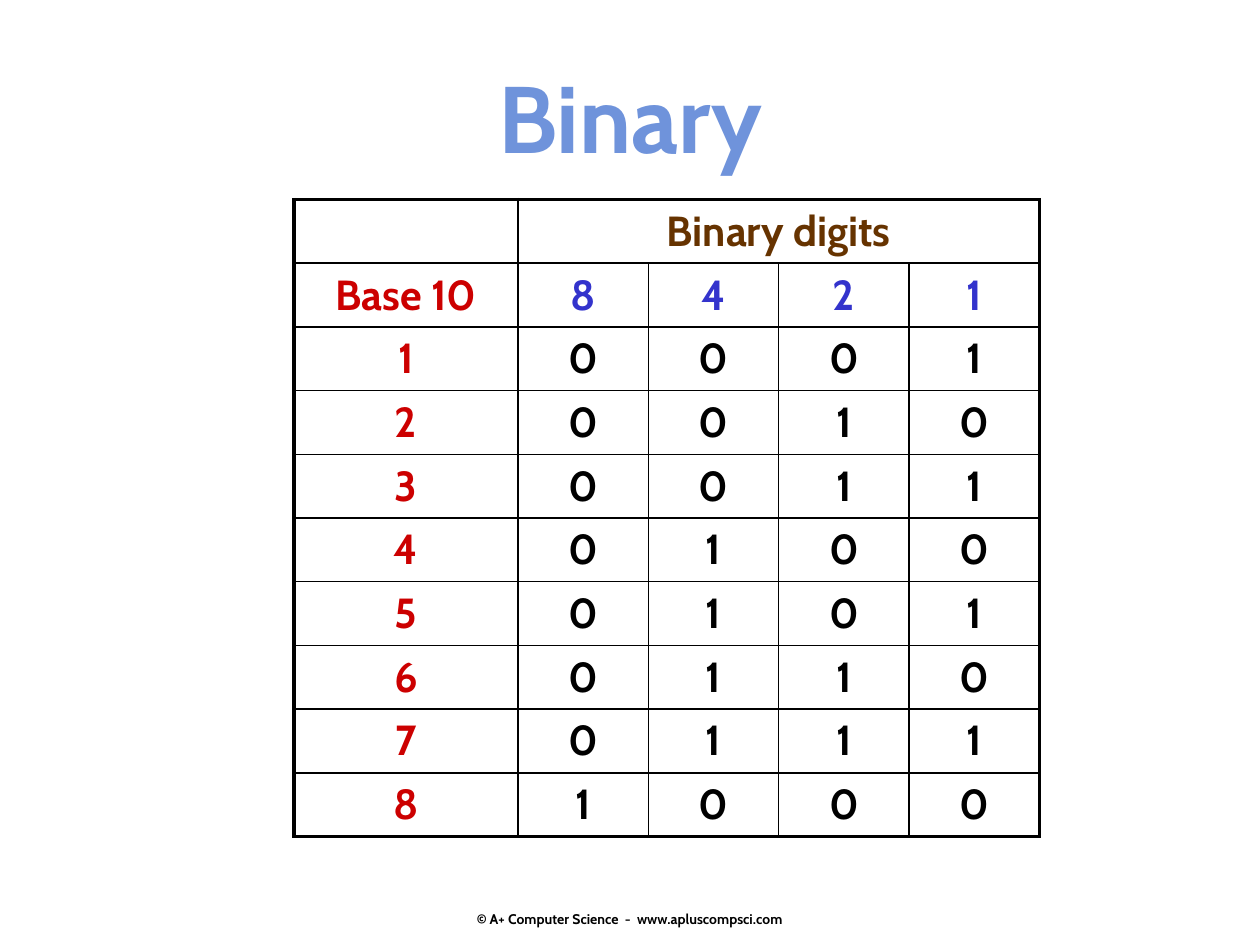
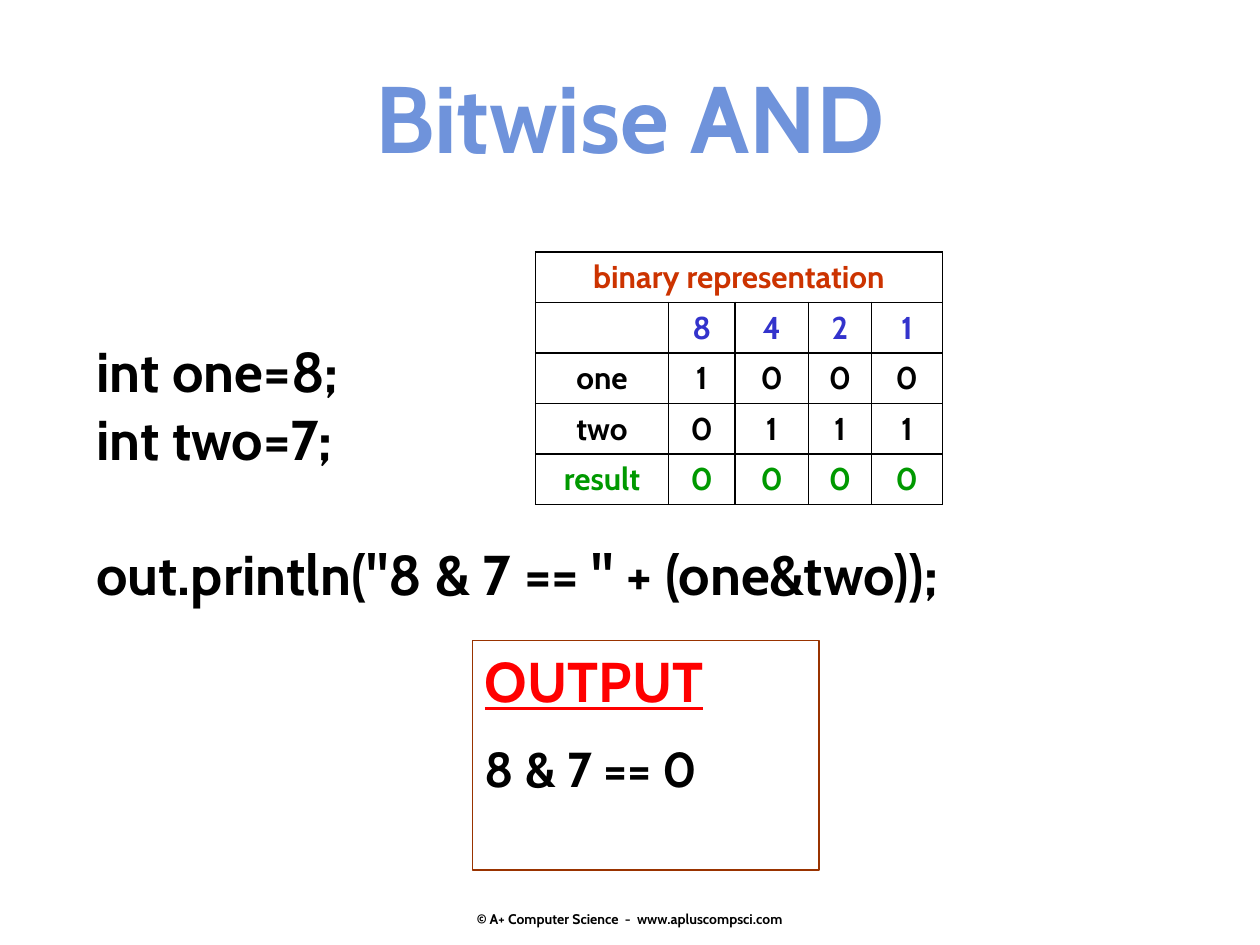
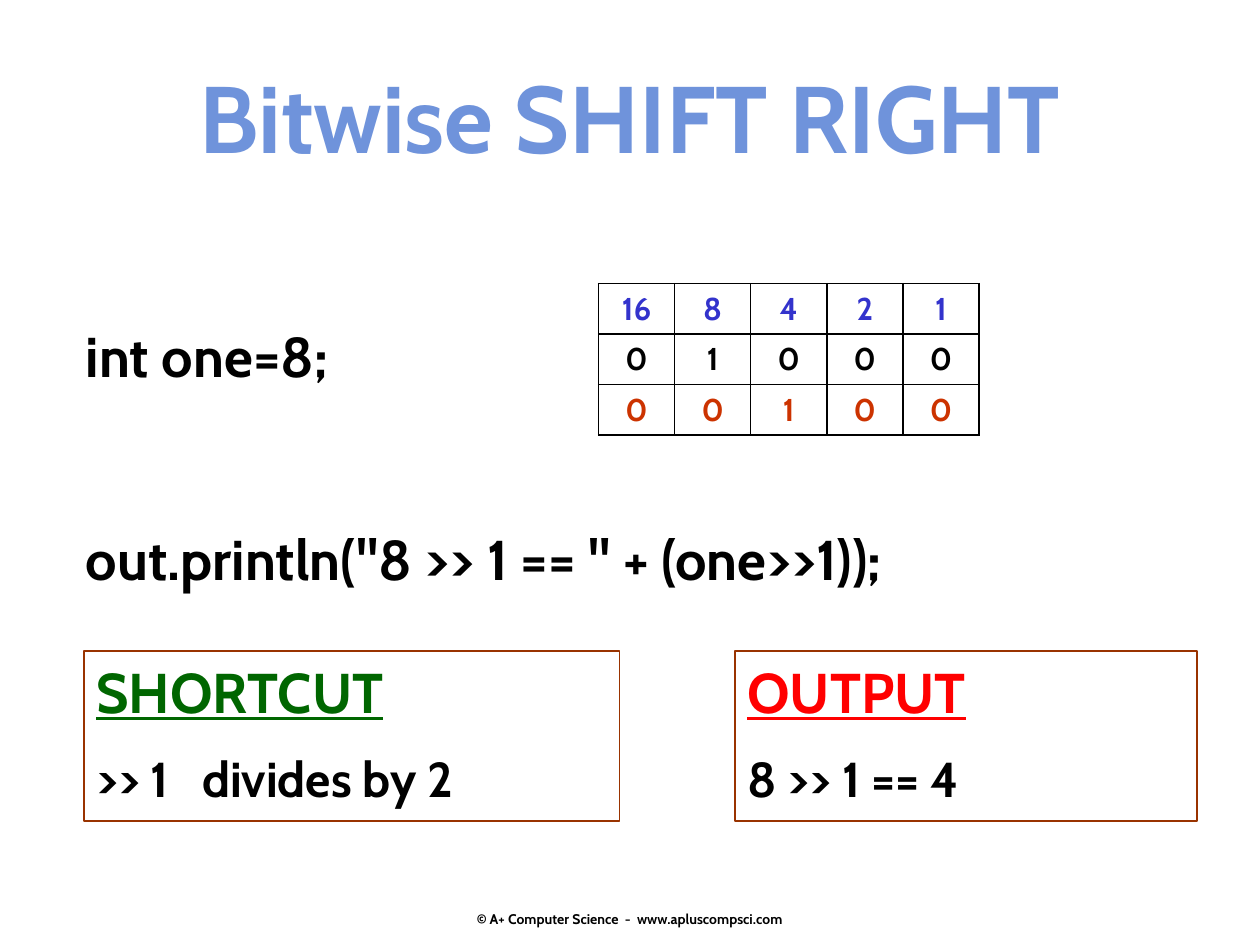
from lxml import etree
from pptx import Presentation
from pptx import util as u
from pptx.dml.color import RGBColor
from pptx.enum import shapes, text
from pptx.oxml import ns

COLOURS = {
    "title": "6F93DB",
    "ink": "000000",
    "weight": "3333CC",
    "decimal": "CC0000",
    "heading": "663300",
    "accent": "CC3300",
    "result": "009900",
    "output": "FF0000",
    "shortcut": "006600",
    "frame": "993300",
}
FONT = "Cabin"
CODE_SIZE = 32
CODE_LINE = 38.9
FOOTER = "© A+ Computer Science  -  www.apluscompsci.com"


def rgb(name):
    return RGBColor.from_string(COLOURS[name])


def add_span(para, words, size, colour, underline=False):
    span = para.add_run()
    span.text = words
    span.font.name = FONT
    span.font.size = u.Pt(size)
    span.font.bold = True
    span.font.underline = underline
    span.font.color.rgb = rgb(colour)


def add_text(page, place, words, size, colour, align):
    box = page.shapes.add_textbox(*map(u.Pt, place))
    box.text_frame.word_wrap = True
    para = box.text_frame.paragraphs[0]
    para.alignment = align
    add_span(para, words, size, colour)
    return box


def add_page(deck, title):
    page = deck.slides.add_slide(deck.slide_layouts[6])
    centre = text.PP_ALIGN.CENTER
    add_text(page, (0, 30, 720, 73), title, 54, "title", centre)
    footer = add_text(page, (246, 516, 228, 18), FOOTER, 8, "ink", centre)
    footer.text_frame.vertical_anchor = text.MSO_ANCHOR.MIDDLE
    return page


def add_code(page, left, top, lines):
    height = sum(1 + gap for _, gap in lines) * CODE_LINE + 8
    box = page.shapes.add_textbox(*map(u.Pt, (left, top, 640, height)))
    frame = box.text_frame
    frame.word_wrap = True
    for index, (line, blank_lines) in enumerate(lines):
        para = frame.add_paragraph() if index else frame.paragraphs[0]
        if blank_lines:
            para.space_before = u.Pt(blank_lines * CODE_LINE)
        add_span(para, line, CODE_SIZE, "ink")


def add_tab_stop(para, position):
    stops = etree.SubElement(para._p.get_or_add_pPr(), ns.qn("a:tabLst"))
    etree.SubElement(stops, ns.qn("a:tab"), pos=str(u.Pt(position)), algn="l")


def add_card(page, place, heading, colour, line, tab=None):
    card = page.shapes.add_shape(shapes.MSO_SHAPE.RECTANGLE, *map(u.Pt, place))
    card.shadow.inherit = False
    card.fill.background()
    card.line.color.rgb = rgb("frame")
    card.line.width = u.Pt(1)
    frame = card.text_frame
    frame.word_wrap = True
    frame.vertical_anchor = text.MSO_ANCHOR.TOP
    head = frame.paragraphs[0]
    body = frame.add_paragraph()
    body.space_before = u.Pt(14)
    if tab:
        add_tab_stop(body, tab)
    for para in (head, body):
        para.alignment = text.PP_ALIGN.LEFT
    add_span(head, heading, CODE_SIZE, colour, underline=True)
    add_span(body, line, 28, "ink")


def set_borders(cell, widths):
    properties = cell._tc.get_or_add_tcPr()
    for index, (side, width) in enumerate(zip("LRTB", widths)):
        border = etree.Element(ns.qn(f"a:ln{side}"), w=str(u.Pt(width)))
        fill = etree.SubElement(border, ns.qn("a:solidFill"))
        etree.SubElement(fill, ns.qn("a:srgbClr"), val=COLOURS["ink"])
        properties.insert(index, border)


def add_grid(page, left, top, columns, row_height, rows, size, merge=None, edge=1):
    last_row, last_column = len(rows) - 1, len(columns) - 1
    place = (left, top, sum(columns), row_height * len(rows))
    table = page.shapes.add_table(len(rows), len(columns), *map(u.Pt, place)).table
    table.first_row = table.horz_banding = False
    for column, width in zip(table.columns, columns):
        column.width = u.Pt(width)
    if merge is not None:
        table.cell(0, merge).merge(table.cell(0, last_column))
    for r, row in enumerate(rows):
        table.rows[r].height = u.Pt(row_height)
        for c, (words, colour) in enumerate(row):
            cell = table.cell(r, c)
            cell.fill.background()
            end = c + cell.span_width - 1 if cell.is_merge_origin else c
            outer = (c == 0, end == last_column, r == 0, r == last_row)
            set_borders(cell, [edge if side else 1 for side in outer])
            if words:
                para = cell.text_frame.paragraphs[0]
                para.alignment = text.PP_ALIGN.CENTER
                add_span(para, words, size, colour)


def paint(items, colour, label_colour=None):
    colours = [label_colour or colour] + [colour] * (len(items) - 1)
    return list(zip(items, colours))


def bits(number, width=4):
    return list(format(number, f"0{width}b"))


def weights(width=4):
    return [str(2 ** power) for power in reversed(range(width))]


def build_binary(deck):
    page = add_page(deck, "Binary")
    rows = [
        paint(["", "Binary digits", "", "", ""], "heading"),
        paint(["Base 10", *weights()], "weight", "decimal"),
    ]
    rows += [paint([str(n), *bits(n)], "ink", "decimal") for n in range(1, 9)]
    add_grid(page, 168, 114, [128] + [74.5] * 4, 36.4, rows, 24, merge=1, edge=2.25)


def build_and(deck):
    page = add_page(deck, "Bitwise AND")
    add_code(page, 48, 189, [
        ("int one=8;", 0),
        ("int two=7;", 0),
        ('out.println("8 & 7 == " + (one&two));', 1),
    ])
    add_card(page, (270, 366, 198, 131), "OUTPUT", "output", "8 & 7 == 0")
    rows = [
        paint(["binary representation", "", "", "", ""], "accent"),
        paint(["", *weights()], "weight"),
        paint(["one", *bits(8)], "ink"),
        paint(["two", *bits(7)], "ink"),
        paint(["result", *bits(8 & 7)], "result"),
    ]
    add_grid(page, 306, 144, [76, 38, 42, 36, 40.5], 28.8, rows, 18, merge=0)


def build_shift(deck):
    page = add_page(deck, "Bitwise SHIFT RIGHT")
    add_code(page, 42, 180, [
        ("int one=8;", 0),
        ('out.println("8 >> 1 == " + (one>>1));', 2),
    ])
    add_card(page, (420, 372, 264, 97), "OUTPUT", "output", "8 >> 1 == 4")
    add_card(page, (48, 372, 306, 97), "SHORTCUT", "shortcut",
             ">> 1\tdivides by 2", tab=60.5)
    rows = [
        paint(weights(5), "weight"),
        paint(bits(8, 5), "ink"),
        paint(bits(8 >> 1, 5), "accent"),
    ]
    add_grid(page, 342, 162, [43.5] * 5, 28.8, rows, 18)


def main():
    deck = Presentation()
    deck.slide_width, deck.slide_height = u.Pt(720), u.Pt(540)
    build_binary(deck)
    build_and(deck)
    build_shift(deck)
    deck.save("out.pptx")


if __name__ == "__main__":
    main()
